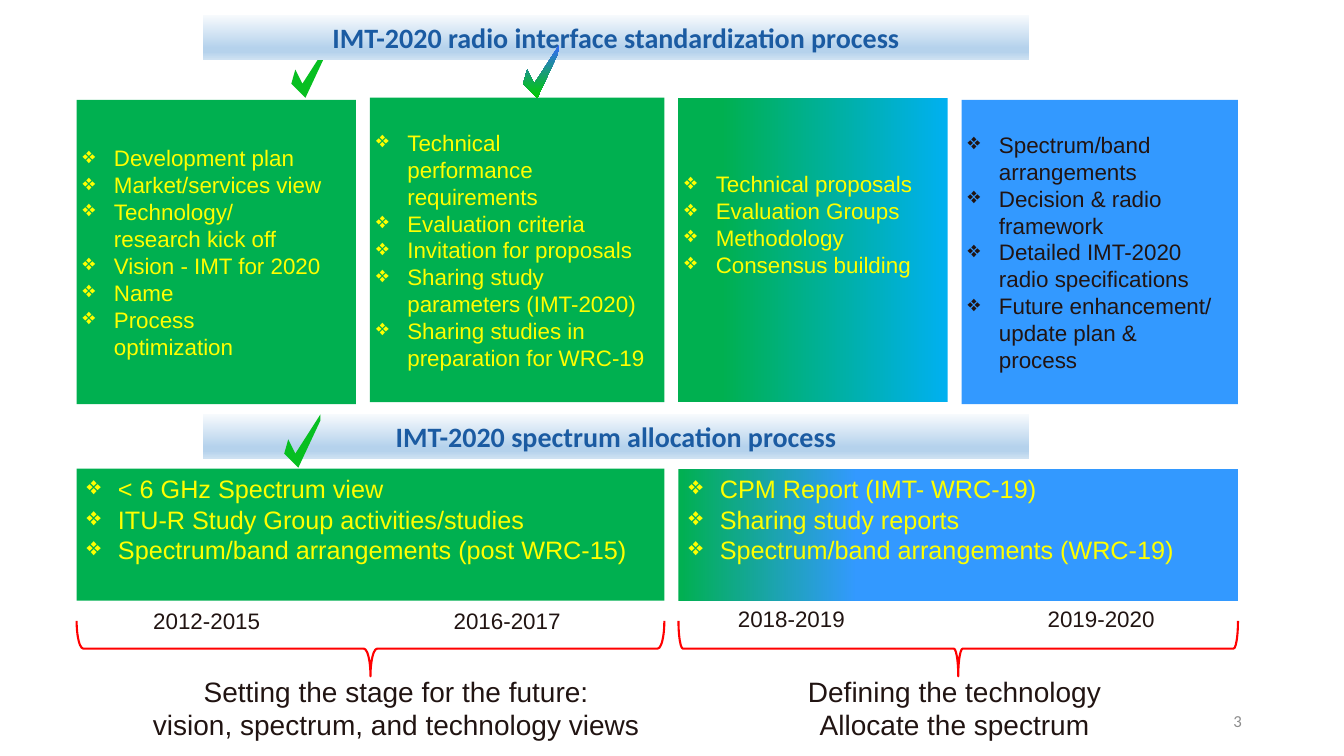
from dataclasses import dataclass

from lxml.etree import SubElement
from pptx import Presentation
from pptx.dml.color import RGBColor
from pptx.enum.shapes import MSO_SHAPE as Preset
from pptx.enum.text import MSO_ANCHOR as Anchor, MSO_AUTO_SIZE as AutoSize, PP_ALIGN as Align
from pptx.oxml.ns import qn
from pptx.shapes.autoshape import Shape
from pptx.slide import Slide
from pptx.util import Emu, Inches, Pt

WIDTH, HEIGHT = Inches(13.33), Inches(7.5)
GREEN = RGBColor(0x00, 0xB0, 0x50)
CYAN = RGBColor(0x00, 0xB0, 0xF0)
BLUE = RGBColor(0x33, 0x99, 0xFF)
ROYAL = RGBColor(0x33, 0x66, 0xFF)
TICK_GREEN = RGBColor(0x07, 0xBF, 0x21)
LIME = RGBColor(0x00, 0xCC, 0x00)
YELLOW = RGBColor(0xFF, 0xFF, 0x00)
RED = RGBColor(0xFF, 0x00, 0x00)
INK = RGBColor(0x21, 0x14, 0x12)
NAVY = RGBColor(0x1B, 0x5B, 0xA2)
GREY = RGBColor(0x8C, 0x8C, 0x8C)
MIST = RGBColor(0xF7, 0xFA, 0xFD)
SKY = RGBColor(0xB5, 0xD2, 0xEC)
PALE = RGBColor(0xCE, 0xE1, 0xF2)


@dataclass(frozen=True)
class Area:
    """A rectangle in percent of the slide's width and height."""
    left: float
    top: float
    width: float
    height: float


@dataclass(frozen=True)
class Paint:
    """Colour stops (percent, colour) and a clockwise angle; one stop is solid."""
    stops: tuple[tuple[int, RGBColor], ...]
    angle: int = 0


@dataclass(frozen=True)
class Insets:
    """Text margins in percent of the slide's width and height."""
    side: float = 0.45
    top: float = 0.4
    bottom: float = 0.4


@dataclass(frozen=True)
class Panel:
    """A filled box of bulleted items, each a tuple of its lines."""
    area: Area
    paint: Paint
    items: tuple[tuple[str, ...], ...]
    color: RGBColor = YELLOW
    size: int = 16
    anchor: Anchor = Anchor.MIDDLE
    insets: Insets = Insets()


@dataclass(frozen=True)
class Label:
    """Plain text on the slide."""
    area: Area
    text: str
    size: int = 16
    align: Align = Align.LEFT
    color: RGBColor = INK
    font: str = "Arial"
    anchor: Anchor = Anchor.TOP
    insets: Insets = Insets()


@dataclass(frozen=True)
class Tick:
    """A check mark placed by its top left corner."""
    left: float
    top: float
    paint: Paint


@dataclass(frozen=True)
class Brace:
    """A downward brace across a span of columns."""
    left: float
    width: float
    curl: float


WIDE = Insets(0.75, 0.67, 0.67)
SOLID_GREEN = Paint(((0, GREEN),))
BANNER_PAINT = Paint(((0, MIST), (74, SKY), (83, SKY), (100, PALE)), 90)
DONE = Paint(((0, TICK_GREEN),))
UNDERWAY = Paint(((0, ROYAL), (87, TICK_GREEN), (100, LIME)), 90)
LEFT, LEFT_SPAN = 5.7, 43.73
RIGHT, RIGHT_SPAN = 50.48, 41.63
ROW, ROW_HEIGHT = 13.2, 40.27
RAISED_ROW = 12.93
SPECTRUM_ROW, SPECTRUM_HEIGHT = 62, 17.47
BRACE_MIDDLE, BRACE_DEPTH = 85.8, 7.33
HANG = 2.33
TICK_OUTLINE = ((0.3, 3.33), (0, 5.2), (1.05, 7.07), (2.7, 0.8), (2.7, 0), (0.83, 5.2))

PANELS = (
    Panel(Area(LEFT, ROW, 20.78, ROW_HEIGHT), SOLID_GREEN, (
        ("Development plan",), ("Market/services view",),
        ("Technology/", "research kick off"), ("Vision - IMT for 2020",),
        ("Name",), ("Process", "optimization"))),
    Panel(Area(71.55, ROW, 20.55, ROW_HEIGHT), Paint(((0, BLUE),)), (
        ("Spectrum/band", "arrangements"), ("Decision & radio framework",),
        ("Detailed IMT-2020 radio specifications",),
        ("Future enhancement/", "update plan &", "process")), INK),
    Panel(Area(27.53, RAISED_ROW, 21.9, ROW_HEIGHT), SOLID_GREEN, (
        ("Technical", "performance", "requirements"), ("Evaluation criteria",),
        ("Invitation for proposals",), ("Sharing study parameters (IMT-2020)",),
        ("Sharing studies in preparation for WRC-19",))),
    Panel(Area(RIGHT, RAISED_ROW, 20.03, ROW_HEIGHT),
          Paint(((0, CYAN), (84, GREEN), (100, GREEN)), 180), (
        ("Technical proposals",), ("Evaluation Groups",), ("Methodology",),
        ("Consensus building",)), insets=Insets(bottom=7.2)),
    Panel(Area(LEFT, SPECTRUM_ROW, LEFT_SPAN, SPECTRUM_HEIGHT), SOLID_GREEN, (
        ("< 6 GHz Spectrum view",), ("ITU-R Study Group activities/studies",),
        ("Spectrum/band arrangements (post WRC-15)",)), YELLOW, 18, Anchor.TOP, WIDE),
    Panel(Area(RIGHT, SPECTRUM_ROW, RIGHT_SPAN, SPECTRUM_HEIGHT),
          Paint(((0, GREEN), (32, BLUE), (100, BLUE))), (
        ("CPM Report (IMT- WRC-19)",), ("Sharing study reports",),
        ("Spectrum/band arrangements (WRC-19)",)), YELLOW, 18, Anchor.TOP, WIDE),
)
LABELS = (
    Label(Area(10.95, 79.87, 12.75, 4.4), "2012-2015"),
    Label(Area(33.3, 79.87, 9, 4.4), "2016-2017"),
    Label(Area(54.45, 79.6, 9, 4.4), "2018-2019"),
    Label(Area(77.5, 79.6, 9, 4.4), "2019-2020"),
    Label(Area(9.53, 88.8, 39.9, 9.87),
          "Setting the stage for the future:\nvision, spectrum, and technology views",
          20, Align.CENTER),
    Label(Area(58.2, 88.8, 25.65, 9.87),
          "Defining the technology\nAllocate the spectrum", 20, Align.CENTER),
    Label(Area(70.65, 92.67, 22.5, 5.33), "3", 12, Align.RIGHT, GREY, "Calibri",
          Anchor.MIDDLE, WIDE),
)
BRACES = (Brace(LEFT, LEFT_SPAN, 0.12), Brace(RIGHT, RIGHT_SPAN, 0.08))
RADIO_TICKS = (Tick(21.68, 5.87, DONE), Tick(38.93, 5.87, UNDERWAY))
SPECTRUM_TICK = Tick(21.15, 54.8, DONE)
RADIO_BANNER, SPECTRUM_BANNER = (
    Label(Area(15.08, top, 61.5, 5.87), text, 20, Align.CENTER, NAVY, "Calibri",
          Anchor.MIDDLE, WIDE)
    for top, text in ((2, "IMT-2020 radio interface standardization process"),
                      (54.8, "IMT-2020 spectrum allocation process")))


def across(share: float) -> Emu:
    """Turn a percentage of the slide's width into a length."""
    return Emu(round(WIDTH * share / 100))


def down(share: float) -> Emu:
    """Turn a percentage of the slide's height into a length."""
    return Emu(round(HEIGHT * share / 100))


def frame(area: Area) -> tuple[Emu, Emu, Emu, Emu]:
    """Return left, top, width and height as lengths."""
    return across(area.left), down(area.top), across(area.width), down(area.height)


def paint_shape(shape: Shape, paint: Paint) -> None:
    """Fill a shape and take away its outline and shadow."""
    shape.shadow.inherit = False
    shape.line.fill.background()
    if len(paint.stops) == 1:
        shape.fill.solid()
        shape.fill.fore_color.rgb = paint.stops[0][1]
        return
    shape.fill.gradient()
    shape.fill.gradient_angle = -paint.angle % 360
    stop_list = shape._element.spPr.find(qn("a:gradFill")).find(qn("a:gsLst"))
    for old_stop in list(stop_list):
        stop_list.remove(old_stop)
    for position, color in paint.stops:
        stop = SubElement(stop_list, qn("a:gs"), pos=str(position * 1000))
        SubElement(stop, qn("a:srgbClr"), val=str(color))


def style_text(shape: Shape, part: Panel | Label, align: Align, font: str, bold: bool = False) -> None:
    """Set margins, anchor, alignment and font of a shape's text."""
    body = shape.text_frame
    body.word_wrap, body.auto_size = True, AutoSize.NONE
    body.vertical_anchor = part.anchor
    body.margin_left = body.margin_right = across(part.insets.side)
    body.margin_top, body.margin_bottom = down(part.insets.top), down(part.insets.bottom)
    for paragraph in body.paragraphs:
        paragraph.alignment = align
        for run in paragraph.runs:
            run.font.name, run.font.size, run.font.bold = font, Pt(part.size), bold
            run.font.color.rgb = part.color


def draw_panel(slide: Slide, panel: Panel) -> None:
    """Draw a filled box with its bulleted items."""
    box = slide.shapes.add_shape(Preset.RECTANGLE, *frame(panel.area))
    paint_shape(box, panel.paint)
    box.text_frame.text = "\n".join(line for item in panel.items for line in item)
    style_text(box, panel, Align.LEFT, "Arial")
    openings = [index == 0 for item in panel.items for index in range(len(item))]
    for paragraph, opens in zip(box.text_frame.paragraphs, openings):
        properties = paragraph._p.get_or_add_pPr()
        properties.set("marL", str(across(HANG)))
        properties.set("indent", str(-across(HANG) if opens else 0))
        if opens:
            SubElement(properties, qn("a:buChar"), char="❖")


def draw_label(slide: Slide, label: Label) -> None:
    """Draw plain text."""
    box = slide.shapes.add_textbox(*frame(label.area))
    box.text_frame.text = label.text
    style_text(box, label, label.align, label.font)


def dress_banner(shape: Shape, banner: Label) -> None:
    """Place, fill and letter a section banner."""
    shape.left, shape.top, shape.width, shape.height = frame(banner.area)
    paint_shape(shape, BANNER_PAINT)
    shape.text_frame.text = banner.text
    style_text(shape, banner, banner.align, banner.font, True)


def draw_tick(slide: Slide, tick: Tick) -> None:
    """Draw a check mark."""
    start, *rest = ((across(tick.left + x), down(tick.top + y)) for x, y in TICK_OUTLINE)
    outline = slide.shapes.build_freeform(*start)
    outline.add_line_segments(rest, close=True)
    paint_shape(outline.convert_to_shape(), tick.paint)


def draw_brace(slide: Slide, brace: Brace) -> None:
    """Draw a right brace turned to point down."""
    depth, span = down(BRACE_DEPTH), across(brace.width)
    left = across(brace.left) + (span - depth) // 2
    curve = slide.shapes.add_shape(
        Preset.RIGHT_BRACE, left, down(BRACE_MIDDLE) - span // 2, depth, span)
    curve.rotation = 90
    curve.adjustments[0] = brace.curl
    curve.shadow.inherit = False
    curve.fill.background()
    curve.line.color.rgb, curve.line.width = RED, Pt(1.5)


def main() -> None:
    """Build the slide and save it."""
    deck = Presentation()
    deck.slide_width, deck.slide_height = WIDTH, HEIGHT
    slide = deck.slides.add_slide(deck.slide_layouts[5])
    for panel in PANELS:
        draw_panel(slide, panel)
    for label in LABELS:
        draw_label(slide, label)
    for brace in BRACES:
        draw_brace(slide, brace)
    draw_tick(slide, RADIO_TICKS[0])
    title = slide.shapes.title
    slide.shapes._spTree.append(title._element)
    dress_banner(title, RADIO_BANNER)
    draw_tick(slide, RADIO_TICKS[1])
    dress_banner(slide.shapes.add_shape(Preset.RECTANGLE, *frame(SPECTRUM_BANNER.area)),
                 SPECTRUM_BANNER)
    draw_tick(slide, SPECTRUM_TICK)
    deck.save("out.pptx")


if __name__ == "__main__":
    main()
